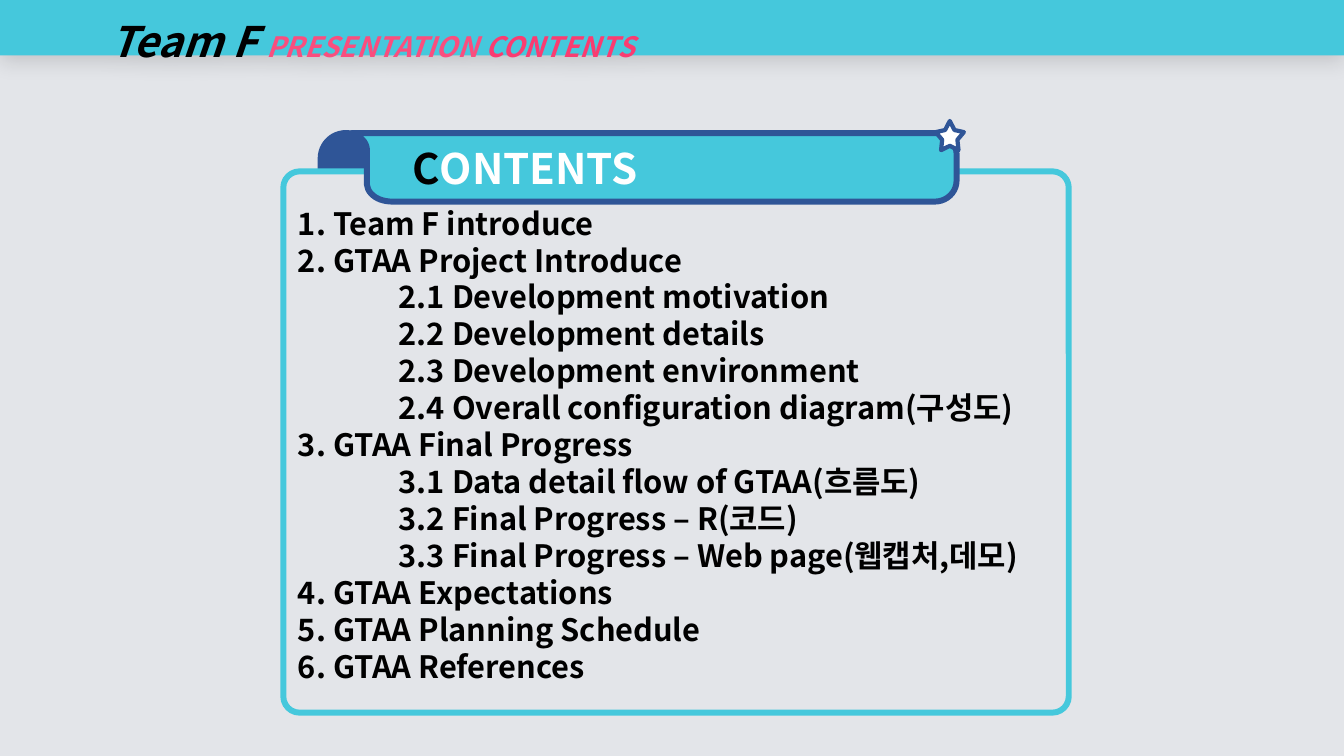
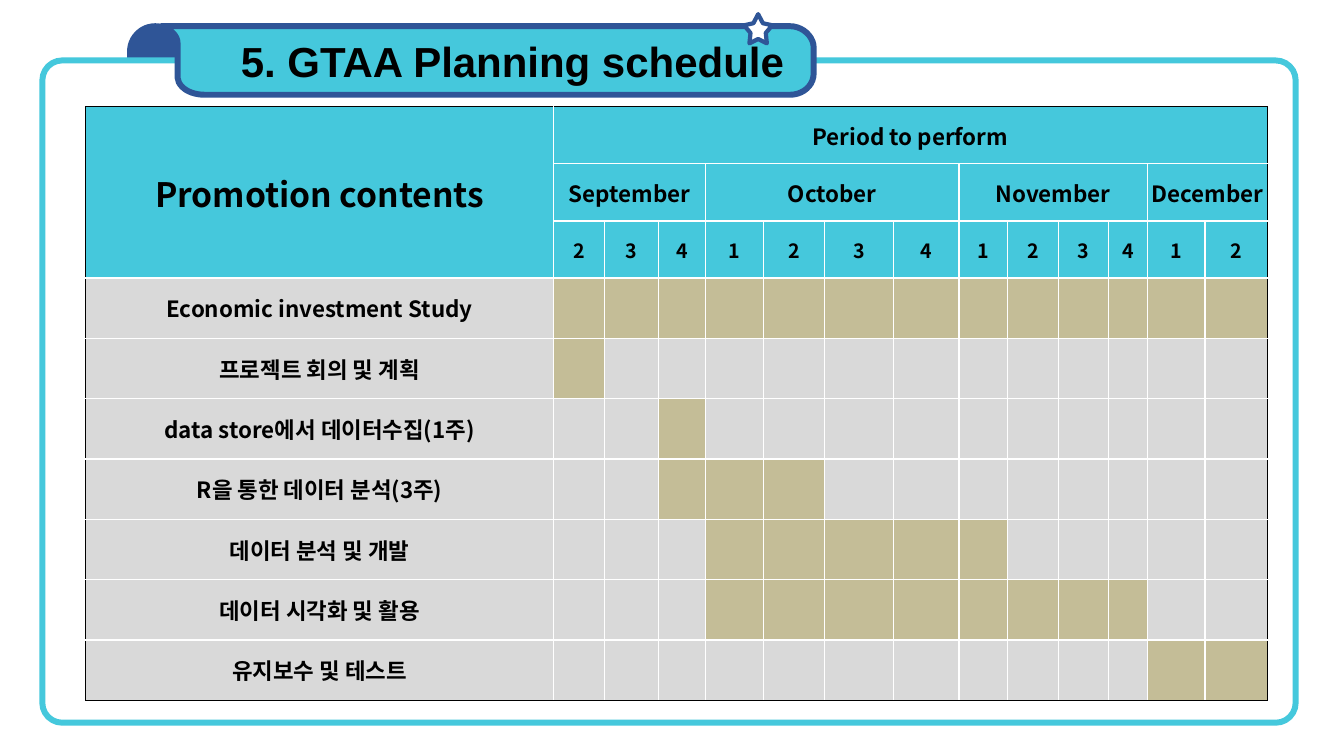
from pptx import Presentation
from pptx import util as u
from pptx.dml.color import RGBColor
from pptx.enum import shapes, text
from pptx.oxml.xmlchemy import OxmlElement

HUE = {"sky": "45C8DC", "navy": "2F5597", "mist": "E3E5E9", "white": "FFFFFF",
       "black": "000000", "pink": "FA4E7E", "rose": "FA3C71",
       "grey": "D9D9D9", "sand": "C4BD97"}
FACE = "Noto Sans CJK KR"
KIND = shapes.MSO_SHAPE

deck = Presentation()
deck.slide_width, deck.slide_height = u.Inches(13.33), u.Inches(7.5)
W, H = deck.slide_width / 100, deck.slide_height / 100  # one percent each way


def paint(shape, fill, line=None, width=4.25):
    shape.shadow.inherit = False
    shape.fill.solid()
    shape.fill.fore_color.rgb = RGBColor.from_string(HUE[fill])
    if line:
        shape.line.color.rgb = RGBColor.from_string(HUE[line])
        shape.line.width = u.Pt(width)
    else:
        shape.line.fill.background()


def write(para, runs, size, face=FACE, align=text.PP_ALIGN.LEFT, indent=0):
    """Fill a paragraph with (words, colour) runs in bold; indent is in inches."""
    para.alignment = align
    para._p.get_or_add_pPr().set("marL", str(u.Inches(indent)))
    font = para.font
    font.size, font.bold, font.name = u.Pt(size), True, face
    font.color.rgb = RGBColor.from_string(HUE[runs[0][1]])
    east = OxmlElement("a:ea")
    east.set("typeface", face)
    font._element.append(east)
    for words, hue in runs:
        run = para.add_run()
        run.text = words
        if hue != runs[0][1]:
            run.font.color.rgb = RGBColor.from_string(HUE[hue])


# Ribbon outline in percent of its box: a point, or three points of a curve
RIBBON = [[(96.4, 0)], [(98.3, 0), (100, 15), (100, 31)],
          [(100, 69)], [(100, 87), (98.3, 100), (96.4, 100)],
          [(6.7, 100)], [(4.8, 100), (3.3, 93), (2.7, 82)],
          [(2.5, 75)], [(2.5, 25)],
          [(2.5, 16), (1.8, 7), (0.7, 4)], [(0, 3)]]
STEPS = 10
edge = [(0, 0)]
for part in RIBBON:
    if len(part) == 1:
        edge += part
        continue
    a, (b, c, d) = edge[-1], part
    for step in range(1, STEPS + 1):
        t = step / STEPS
        s = 1 - t
        edge.append(tuple(s**3 * a[i] + 3 * s * s * t * b[i]
                          + 3 * s * t * t * c[i] + t**3 * d[i] for i in (0, 1)))

# Places are percent of the slide: panel box, ribbon left, top and width, star left
FRAMES = [
    {"back": "mist", "panel": (21.08, 22.67, 58.44, 71.6),
     "ribbon": (26.18, 17.6, 45), "star": 69.62,
     "title": [("C", "black"), ("ONTENTS", "white")],
     "face": FACE, "align": text.PP_ALIGN.LEFT},
    {"back": "white", "panel": (3.15, 8, 93.25, 87.6),
     "ribbon": (12, 3.47, 48.54), "star": 55.36,
     "title": [("5. GTAA Planning schedule", "black")],
     "face": "Arial", "align": text.PP_ALIGN.CENTER},
]
slides, panels = [], []
for frame in FRAMES:
    slide = deck.slides.add_slide(deck.slide_layouts[6])
    slide.background.fill.solid()
    slide.background.fill.fore_color.rgb = RGBColor.from_string(HUE[frame["back"]])
    left, top, wide = frame["ribbon"]

    knob = slide.shapes.add_shape(KIND.ROUND_2_SAME_RECTANGLE, int((left - 2.32) * W),
                                  int(top * H), int(3.75 * W), int(13.07 * H))
    knob.adjustments[0] = 0.5
    paint(knob, "navy", "navy")

    x, y, w, h = frame["panel"]
    panel = slide.shapes.add_shape(KIND.ROUNDED_RECTANGLE, int(x * W), int(y * H),
                                   int(w * W), int(h * H))
    panel.adjustments[0] = 0.03
    paint(panel, frame["back"], "sky")

    spots = [(int((left + px * wide / 100) * W), int((top + py * 9.07 / 100) * H))
             for px, py in edge]
    pen = slide.shapes.build_freeform(*spots[0])
    pen.add_line_segments(spots[1:], close=True)
    ribbon = pen.convert_to_shape()
    paint(ribbon, "sky", "navy")
    ribbon.text_frame.word_wrap = True
    ribbon.text_frame.vertical_anchor = text.MSO_ANCHOR.MIDDLE
    write(ribbon.text_frame.paragraphs[0], frame["title"], 30, frame["face"],
          frame["align"], 0.5)

    star = slide.shapes.add_shape(KIND.STAR_5_POINT, int(frame["star"] * W),
                                  int((top - 1.6) * H), int(2.1 * W), int(3.87 * H))
    star.adjustments[0] = 0.27
    paint(star, "white", "navy", 3)
    slides.append(slide)
    panels.append(panel)

# Contents list: (level, words)
ITEMS = [
    (0, "1. Team F introduce"), (0, "2. GTAA Project Introduce"),
    (1, "2.1 Development motivation"), (1, "2.2 Development details"),
    (1, "2.3 Development environment"),
    (1, "2.4 Overall configuration diagram(구성도)"),
    (0, "3. GTAA Final Progress"), (1, "3.1 Data detail flow of GTAA(흐름도)"),
    (1, "3.2 Final Progress – R(코드)"),
    (1, "3.3 Final Progress – Web page(웹캡처,데모)"),
    (0, "4. GTAA Expectations"), (0, "5. GTAA Planning Schedule"),
    (0, "6. GTAA References"),
]
body = panels[0].text_frame
body.word_wrap = True
body.vertical_anchor = text.MSO_ANCHOR.TOP
body.margin_top = u.Inches(0.28)
for n, (level, words) in enumerate(ITEMS):
    para = body.add_paragraph() if n else body.paragraphs[0]
    para.line_spacing = u.Pt(26.4)
    write(para, [(words, "black")], 22, indent=level)

# Header band with a soft shadow
band = slides[0].shapes.add_shape(KIND.RECTANGLE, 0, 0, deck.slide_width, int(7.33 * H))
paint(band, "sky")
glow = OxmlElement("a:outerShdw")
for key, value in (("blurRad", u.Pt(15)), ("dist", u.Pt(3)), ("dir", 90 * 60000)):
    glow.set(key, str(value))
tint = OxmlElement("a:srgbClr")
tint.set("val", HUE["black"])
alpha = OxmlElement("a:alpha")
alpha.set("val", "15000")
tint.append(alpha)
glow.append(tint)
band._element.spPr.find("{*}effectLst").append(glow)
band.text_frame.word_wrap = True
band.text_frame.vertical_anchor = text.MSO_ANCHOR.MIDDLE
para = band.text_frame.paragraphs[0]
para.line_spacing = 1.5
write(para, [("Team F ", "black"), ("PRESENTATION ", "pink"), ("CONTENTS", "rose")],
      30, indent=1)
para.font.italic = True
for run in para.runs[1:]:
    run.font.size = u.Pt(20)

# Schedule: months as (name, weeks), tasks as (name, busy week columns)
MONTHS = [("September", "234"), ("October", "1234"), ("November", "1234"),
          ("December", "12")]
TASKS = [
    ("Economic investment Study", range(1, 14)), ("프로젝트 회의 및 계획", [1]),
    ("data store에서 데이터수집(1주)", [3]), ("R을 통한 데이터 분석(3주)", range(3, 6)),
    ("데이터 분석 및 개발", range(4, 9)), ("데이터 시각화 및 활용", range(4, 12)),
    ("유지보수 및 테스트", [12, 13]),
]
COLS = [34.8, 3.83, 3.98, 3.53, 4.28, 4.58, 5.1, 4.88, 3.6, 3.83, 3.68, 2.93, 4.28, 4.65]
ROWS = [7.55] * 3 + [7.98] * len(TASKS)
grid = slides[1].shapes.add_table(len(ROWS), len(COLS), int(6.38 * W), int(14.13 * H),
                                  int(sum(COLS) * W), int(sum(ROWS) * H)).table
for col, share in zip(grid.columns, COLS):
    col.width = int(share * W)
for row, share in zip(grid.rows, ROWS):
    row.height = int(share * H)

labels = {(0, 0): ("Promotion contents", 24), (0, 1): ("Period to perform", 16)}
grid.cell(0, 0).merge(grid.cell(2, 0))
grid.cell(0, 1).merge(grid.cell(0, 13))
at = 1
for month, weeks in MONTHS:
    grid.cell(1, at).merge(grid.cell(1, at + len(weeks) - 1))
    labels[1, at] = (month, 16)
    for week in weeks:
        labels[2, at] = (week, 14)
        at += 1
for r, (task, busy) in enumerate(TASKS, 3):
    labels[r, 0] = (task, 16)

for r in range(len(ROWS)):
    for c in range(len(COLS)):
        cell = grid.cell(r, c)
        rims = {"L": c == 0, "R": c + cell.span_width == len(COLS),
                "T": r == 0, "B": r == len(ROWS) - 1}
        for side, outer in rims.items():
            rule = OxmlElement("a:ln" + side)
            rule.set("w", str(u.Pt(1)))
            solid = OxmlElement("a:solidFill")
            tint = OxmlElement("a:srgbClr")
            tint.set("val", HUE["black" if outer else "white"])
            solid.append(tint)
            rule.append(solid)
            cell._tc.get_or_add_tcPr().append(rule)
        hue = "sky" if r < 3 else "sand" if c in TASKS[r - 3][1] else "grey"
        cell.fill.solid()
        cell.fill.fore_color.rgb = RGBColor.from_string(HUE[hue])
        if (r, c) in labels:
            words, size = labels[r, c]
            cell.vertical_anchor = text.MSO_ANCHOR.MIDDLE
            cell.margin_left = cell.margin_right = u.Inches(0.02)
            cell.margin_top = cell.margin_bottom = u.Inches(0.02)
            write(cell.text_frame.paragraphs[0], [(words, "black")], size,
                  align=text.PP_ALIGN.CENTER)

deck.save("out.pptx")
